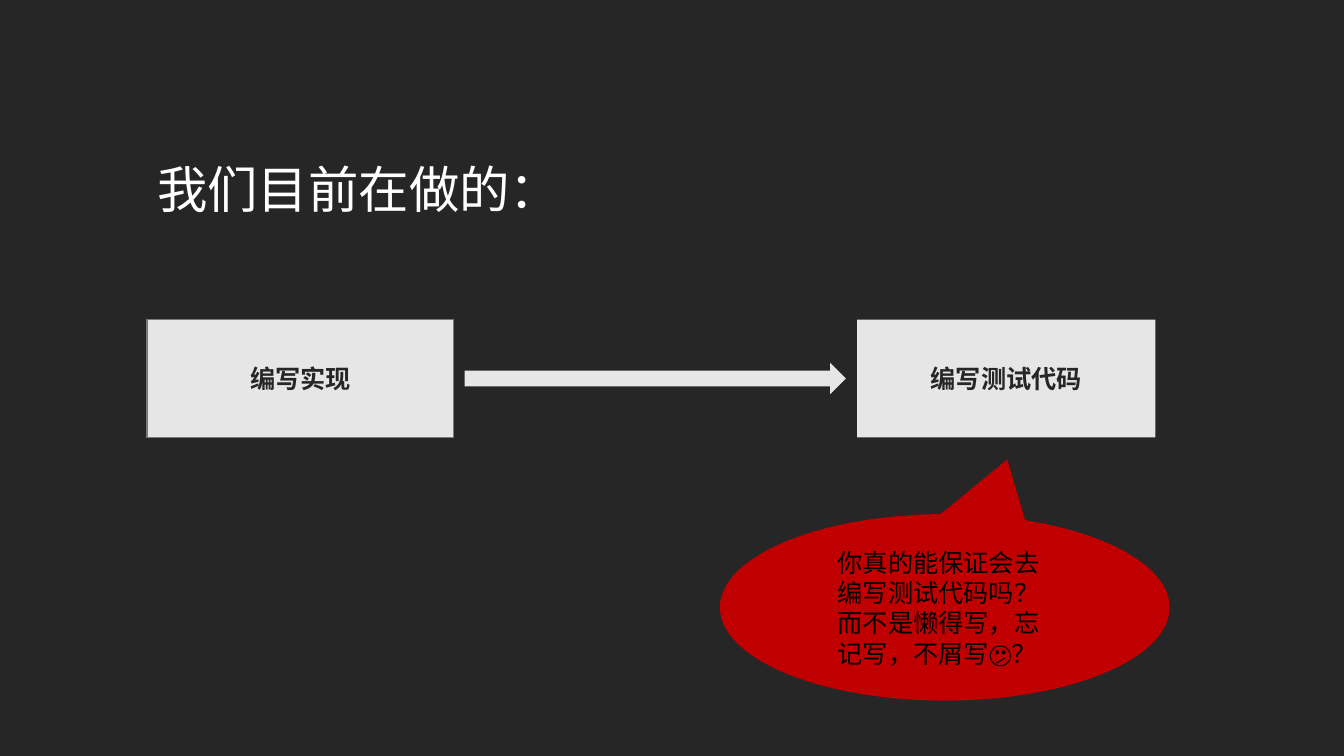
from pptx import Presentation
from pptx.dml.color import RGBColor as Rgb
from pptx.enum.shapes import MSO_SHAPE as Kind
from pptx.enum.text import MSO_ANCHOR as Anchor, MSO_AUTO_SIZE as Fit, PP_ALIGN as Align
from pptx.util import Inches, Pt

THEME = {
    "ground": Rgb.from_string("262626"),
    "step": Rgb.from_string("E7E6E6"),
    "edge": Rgb.from_string("7A7A7A"),
    "warning": Rgb.from_string("C00000"),
    "heading": {"name": "Calibri", "size": Pt(36), "bold": False},
    "label": {"name": "Calibri", "size": Pt(18), "bold": True},
    "remark": {"name": "Calibri", "size": Pt(18), "bold": False},
    "heading_ink": Rgb.from_string("FFFFFF"),
    "remark_ink": Rgb.from_string("000000"),
}

deck = Presentation()
deck.slide_width, deck.slide_height = Inches(13.33), Inches(7.5)
slide = deck.slides.add_slide(deck.slide_layouts[6])
slide.background.fill.solid()
slide.background.fill.fore_color.rgb = THEME["ground"]

COLUMN, ROW = deck.slide_width / 100, deck.slide_height / 100
MARGIN, STEP_TOP, STEP_HEIGHT = 10.95, 42.27, 15.6


def add_block(kind, left, top, width, height, colour):
    block = slide.shapes.add_shape(
        kind, int(left * COLUMN), int(top * ROW), int(width * COLUMN), int(height * ROW))
    block.shadow.inherit = False
    block.fill.solid()
    block.fill.fore_color.rgb = colour
    block.line.fill.background()
    return block


def write(frame, wording, style, ink, align):
    frame.word_wrap = True
    paragraph = frame.paragraphs[0]
    paragraph.alignment = align
    run = paragraph.add_run()
    run.text = wording
    for key, value in THEME[style].items():
        setattr(run.font, key, value)
    run.font.color.rgb = THEME[ink]


steps = []
for wording, left, width in [("编写实现", MARGIN, 22.81), ("编写测试代码", 63.77, 22.21)]:
    step = add_block(Kind.RECTANGLE, left, STEP_TOP, width, STEP_HEIGHT, THEME["step"])
    step.text_frame.vertical_anchor = Anchor.MIDDLE
    write(step.text_frame, wording, "label", "ground", Align.CENTER)
    steps.append(step)
steps[0].line.color.rgb = THEME["edge"]
steps[0].line.width = Pt(1)

add_block(Kind.RIGHT_ARROW, 34.58, 48, 28.36, 4.13, THEME["step"])

doubt = add_block(Kind.OVAL_CALLOUT, 53.56, 68, 33.46, 24.67, THEME["warning"])
doubt.rotation = 180
doubt.adjustments[0], doubt.adjustments[1] = -0.139, 0.793

for wording, left, top, width, height, style, ink in [
    ("我们目前在做的：", MARGIN, 20.27, 46.21, 9.47, "heading", "heading_ink"),
    ("你真的能保证会去编写测试代码吗？而不是懒得写，忘记写，不屑写😕？",
     61.59, 71.73, 17.4, 17.47, "remark", "remark_ink"),
]:
    passage = slide.shapes.add_textbox(
        int(left * COLUMN), int(top * ROW), int(width * COLUMN), int(height * ROW))
    passage.text_frame.auto_size = Fit.SHAPE_TO_FIT_TEXT
    write(passage.text_frame, wording, style, ink, Align.LEFT)

deck.save("out.pptx")
